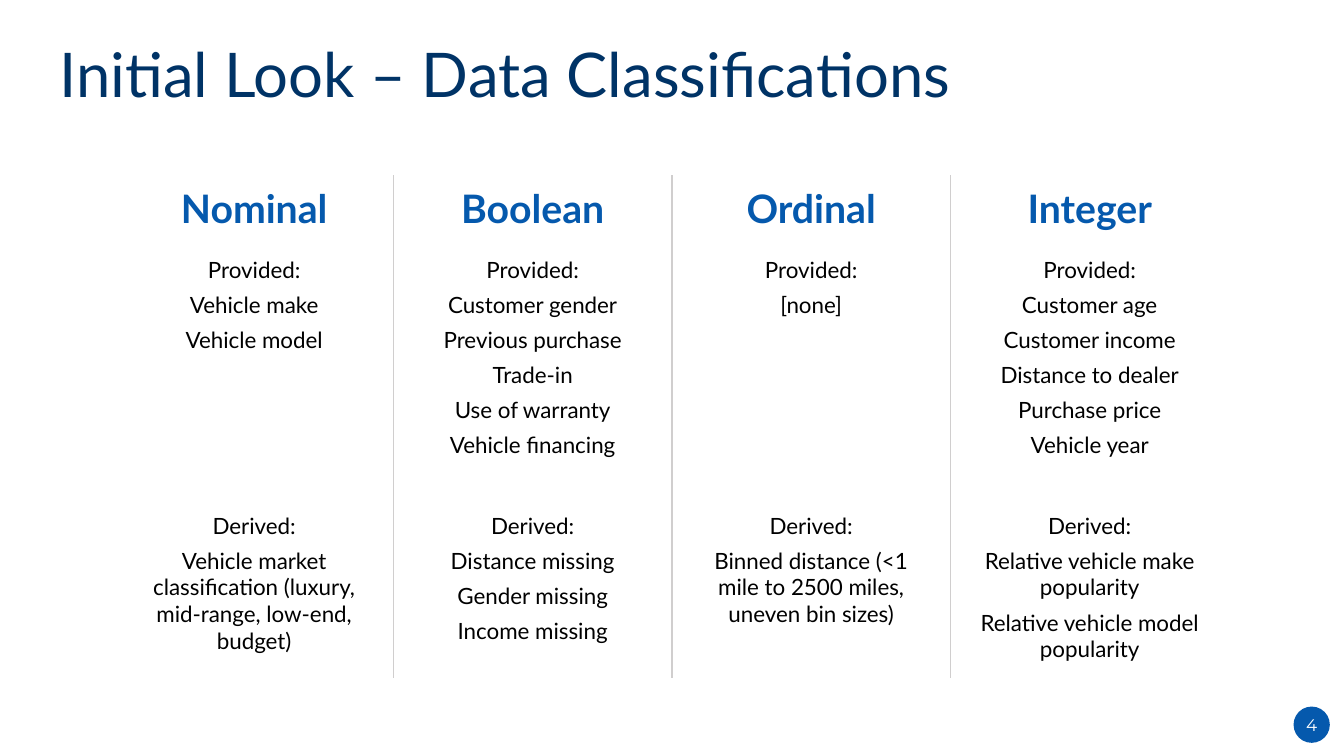
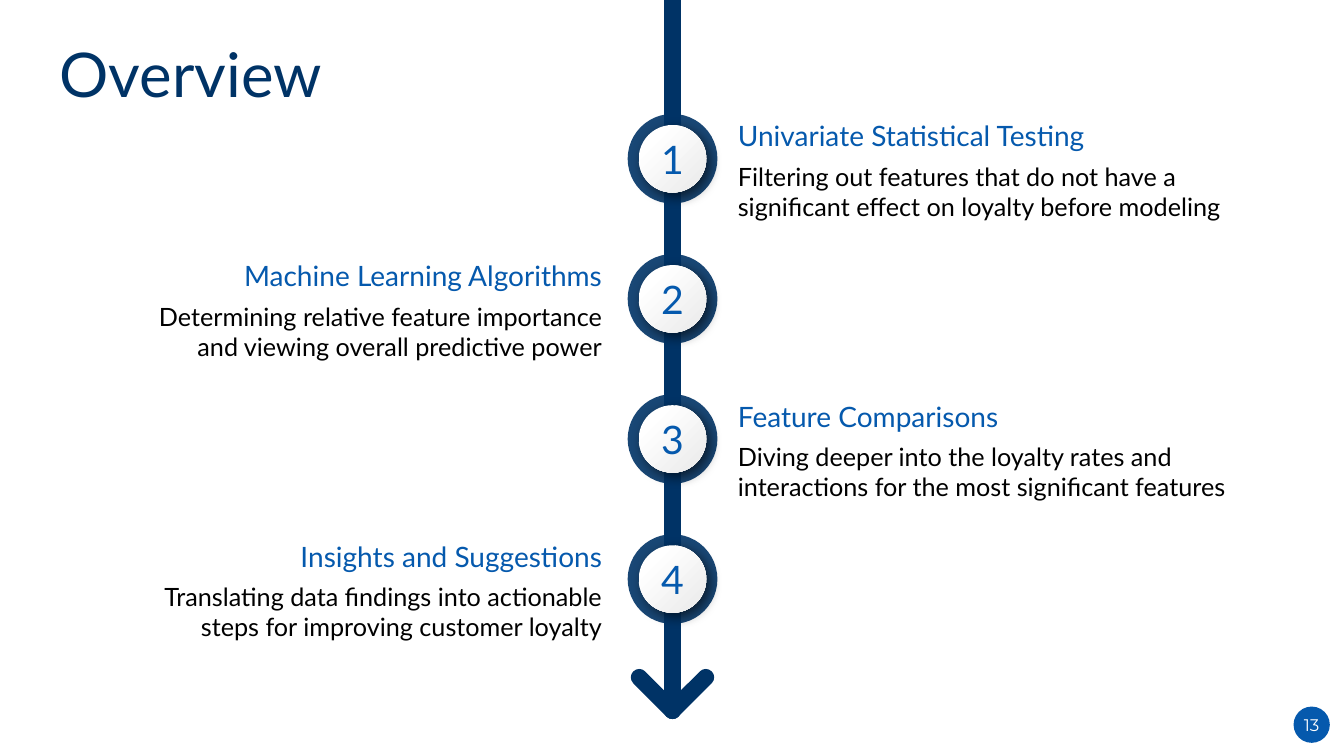
from dataclasses import dataclass

from lxml import etree
from pptx import Presentation
from pptx.dml.color import RGBColor
from pptx.enum import shapes, text
from pptx.oxml import ns
from pptx.util import Inches, Pt


@dataclass(frozen=True)
class Theme:
    navy: str = "003366"
    blue: str = "0559AD"
    black: str = "000000"
    white: str = "FFFFFF"
    pearl: str = "EAEAEA"
    rule: str = "D0CECE"
    body_font: str = "Lato"
    number_font: str = "Montserrat"
    title_size: int = 44
    heading_size: int = 28
    step_size: int = 20
    detail_size: int = 18
    cell_size: int = 16
    number_size: int = 12


THEME = Theme()
LEFT, CENTER, RIGHT = (text.PP_ALIGN.LEFT, text.PP_ALIGN.CENTER,
                       text.PP_ALIGN.RIGHT)

COLUMNS = [
    ("Nominal",
     ["Provided:", "Vehicle make", "Vehicle model"],
     ["Derived:",
      "Vehicle market classification (luxury, mid-range, low-end, budget)"]),
    ("Boolean",
     ["Provided:", "Customer gender", "Previous purchase", "Trade-in",
      "Use of warranty", "Vehicle financing"],
     ["Derived:", "Distance missing", "Gender missing", "Income missing"]),
    ("Ordinal",
     ["Provided:", "[none]"],
     ["Derived:",
      "Binned distance (<1 mile to 2500 miles, uneven bin sizes)"]),
    ("Integer",
     ["Provided:", "Customer age", "Customer income", "Distance to dealer",
      "Purchase price", "Vehicle year"],
     ["Derived:", "Relative vehicle make popularity",
      "Relative vehicle model popularity"]),
]

STEPS = [
    ("Univariate Statistical Testing",
     "Filtering out features that do not have a significant effect on "
     "loyalty before modeling"),
    ("Machine Learning Algorithms",
     "Determining relative feature importance and viewing overall "
     "predictive power"),
    ("Feature Comparisons",
     "Diving deeper into the loyalty rates and interactions for the most "
     "significant features"),
    ("Insights and Suggestions",
     "Translating data findings into actionable steps for improving "
     "customer loyalty"),
]


def rgb(color):
    return RGBColor.from_string(color)


def add_xml(parent, tag, **attributes):
    return etree.SubElement(parent, ns.qn(tag), attributes)


def write(frame, lines, size, color, font=THEME.body_font, align=LEFT,
          after=0, bold=False):
    """Fill a text frame with paragraphs of one style and return them."""
    frame.text = "\n".join(lines)
    for para in frame.paragraphs:
        para.alignment = align
        para.space_after = Pt(after)
        para.font.size = Pt(size)
        para.font.name = font
        para.font.bold = bold
        para.font.color.rgb = rgb(color)
    return frame.paragraphs


def add_text_box(page, left, top, width, height):
    box = page.shapes.add_textbox(Inches(left), Inches(top), Inches(width),
                                  Inches(height))
    box.text_frame.word_wrap = True
    return box.text_frame


def add_circle(page, left, top, size, color):
    circle = page.shapes.add_shape(
        shapes.MSO_SHAPE.OVAL, Inches(left), Inches(top), Inches(size),
        Inches(size))
    circle.shadow.inherit = False
    circle.fill.solid()
    circle.fill.fore_color.rgb = rgb(color)
    circle.line.fill.background()
    return circle


def label_circle(circle, label, size, color, font):
    frame = circle.text_frame
    frame.margin_left = frame.margin_right = 0
    frame.margin_top = frame.margin_bottom = 0
    frame.word_wrap = False
    frame.vertical_anchor = text.MSO_ANCHOR.MIDDLE
    write(frame, [label], size, color, font, CENTER)


def add_page(deck, title, number):
    """Add a slide with its title and its numbered badge."""
    page = deck.slides.add_slide(deck.slide_layouts[6])
    write(add_text_box(page, 0.49, 0.31, 12.34, 0.84), [title],
          THEME.title_size, THEME.navy)
    badge = add_circle(page, 12.83, 7.01, 0.36, THEME.blue)
    label_circle(badge, str(number), THEME.number_size, THEME.white,
                 THEME.number_font)
    return page


def style_cell(cell, ruled_sides):
    """Clear the fill and draw borders only on the ruled sides."""
    properties = cell._tc.get_or_add_tcPr()
    for side in "LRTB":
        border = add_xml(properties, f"a:ln{side}", w=str(Pt(1)))
        if side in ruled_sides:
            add_xml(add_xml(border, "a:solidFill"), "a:srgbClr",
                    val=THEME.rule)
        else:
            add_xml(border, "a:noFill")
    cell.fill.background()


def add_classification_table(page, left, top, width, row_heights):
    count = len(COLUMNS)
    table = page.shapes.add_table(
        len(row_heights), count, Inches(left), Inches(top), Inches(width),
        Inches(sum(row_heights))).table
    table.first_row = table.horz_banding = False
    for row, height in zip(table.rows, row_heights):
        row.height = Inches(height)
    for column, (heading, *groups) in enumerate(COLUMNS):
        sides = ("L" if column else "") + ("R" if column < count - 1 else "")
        for row in range(len(row_heights)):
            style_cell(table.cell(row, column), sides)
        head = table.cell(0, column)
        head.vertical_anchor = text.MSO_ANCHOR.MIDDLE
        write(head.text_frame, [heading], THEME.heading_size, THEME.blue,
              align=CENTER, bold=True)
        for row, lines in enumerate(groups, start=1):
            cell = table.cell(row, column)
            cell.margin_left = cell.margin_right = Inches(0.2)
            cell.margin_top = cell.margin_bottom = Inches(0.15)
            write(cell.text_frame, lines, THEME.cell_size, THEME.black,
                  align=CENTER, after=6)


def add_stroke(page, start, end):
    """Draw a thick navy line with round ends."""
    stroke = page.shapes.add_connector(
        shapes.MSO_CONNECTOR.STRAIGHT, *map(Inches, start + end))
    stroke.line.width = Pt(12)
    stroke.line.color.rgb = rgb(THEME.navy)
    stroke.line._ln.set("cap", "rnd")
    add_xml(stroke._element.spPr, "a:effectLst")


def add_down_arrow(page, axis, top, tip, barb):
    add_stroke(page, (axis, top), (axis, tip))
    for side in (1, -1):
        add_stroke(page, (axis + side * barb, tip - barb), (axis, tip))


def add_drop_shadow(shape):
    effects = shape._element.spPr.find(ns.qn("a:effectLst"))
    shadow = add_xml(effects, "a:outerShdw", blurRad=str(Pt(9)),
                     dist=str(Pt(4)), dir="2700000", algn="tl",
                     rotWithShape="0")
    color = add_xml(shadow, "a:srgbClr", val=THEME.black)
    add_xml(color, "a:alpha", val="60000")


def add_marker(page, axis, top, number, size=0.89, rim=0.11):
    """Draw a numbered disc inside a translucent ring."""
    left = axis - size / 2
    ring = add_circle(page, left, top, size, THEME.navy)
    ring_color = next(ring._element.spPr.iter(ns.qn("a:srgbClr")))
    add_xml(ring_color, "a:alpha", val="90000")

    disc = add_circle(page, left + rim, top + rim, size - 2 * rim,
                      THEME.white)
    disc.fill.gradient()
    disc.fill.gradient_angle = 315
    stops = ((0.2, THEME.white), (1, THEME.pearl))
    for stop, (position, color) in zip(disc.fill.gradient_stops, stops):
        stop.position = position
        stop.color.rgb = rgb(color)
    add_drop_shadow(disc)
    label_circle(disc, str(number), THEME.heading_size, THEME.blue,
                 THEME.body_font)


def add_step_text(page, left, top, width, align, step):
    frame = add_text_box(page, left, top, width, 1.13)
    heading, _ = write(frame, step, THEME.detail_size, THEME.black,
                       align=align, after=6)
    heading.font.size = Pt(THEME.step_size)
    heading.font.color.rgb = rgb(THEME.blue)


def add_timeline(page, axis, top, pitch):
    """Place the steps right and left of a downward arrow in turn."""
    add_down_arrow(page, axis, 0, 7.05, 0.33)
    left_width, right_width = 4.9, 5.2
    for index, step in enumerate(STEPS):
        step_top = top + index * pitch
        add_marker(page, axis, step_top, index + 1)
        if index % 2:
            add_step_text(page, axis - 0.6 - left_width, step_top,
                          left_width, RIGHT, step)
        else:
            add_step_text(page, axis + 0.55, step_top, right_width, LEFT,
                          step)


def main():
    deck = Presentation()
    deck.slide_width, deck.slide_height = Inches(13.33), Inches(7.5)
    page = add_page(deck, "Initial Look – Data Classifications", 4)
    add_classification_table(page, 1.14, 1.74, 11.05, (0.65, 2.54, 1.76))
    add_timeline(add_page(deck, "Overview", 13), 6.67, 1.13, 1.39)
    deck.save("out.pptx")


if __name__ == "__main__":
    main()
